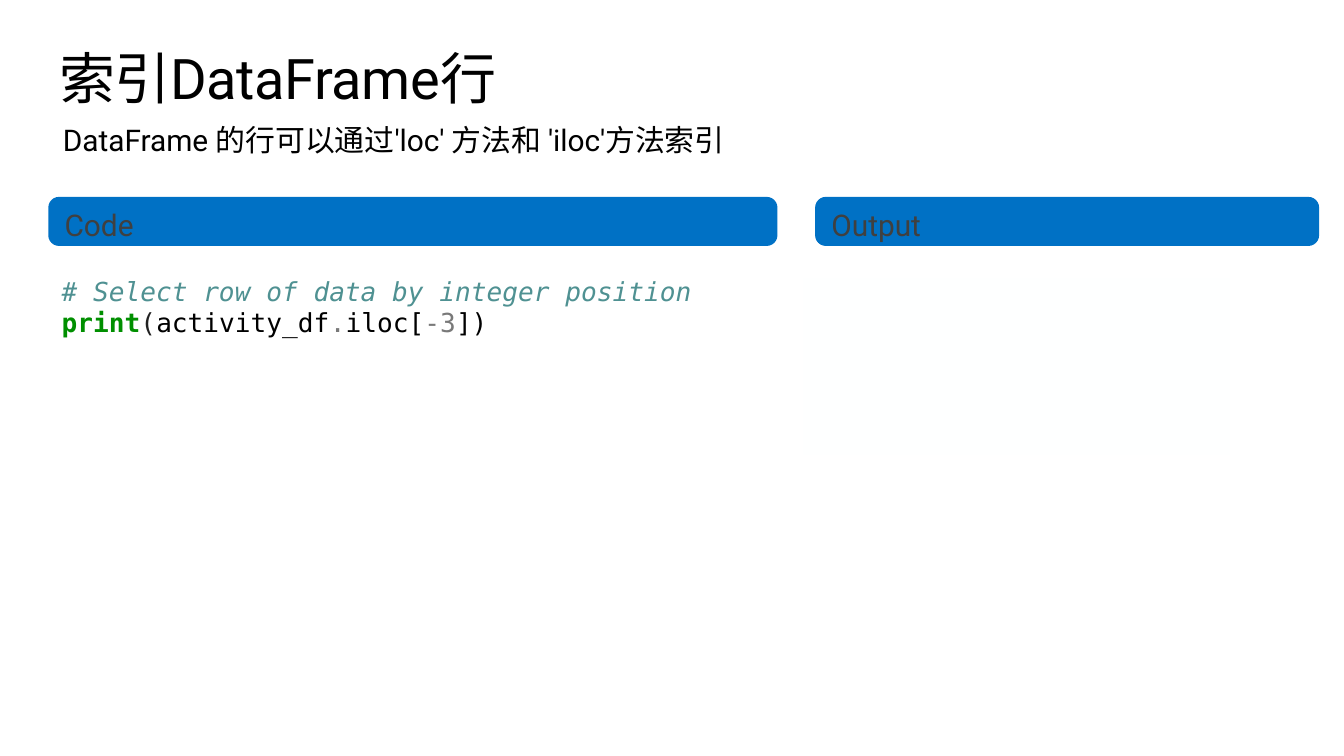
from pptx import Presentation
from pptx.dml.color import RGBColor
from pptx.enum.shapes import MSO_SHAPE
from pptx.enum.text import MSO_ANCHOR, MSO_AUTO_SIZE, PP_ALIGN
from pptx.util import Emu, Pt

RECT, ROUND = MSO_SHAPE.RECTANGLE, MSO_SHAPE.ROUNDED_RECTANGLE
TOP, MIDDLE = MSO_ANCHOR.TOP, MSO_ANCHOR.MIDDLE
GROW, LEFT = MSO_AUTO_SIZE.SHAPE_TO_FIT_TEXT, PP_ALIGN.LEFT

BLACK = RGBColor(0x00, 0x00, 0x00)
DARK = RGBColor(0x40, 0x40, 0x40)
INK = RGBColor(0x21, 0x21, 0x21)
GRAY = RGBColor(0x79, 0x79, 0x79)
BLUE = RGBColor(0x00, 0x71, 0xC5)
TEAL = RGBColor(0x4F, 0x91, 0x92)
GREEN = RGBColor(0x00, 0x8F, 0x00)
PALE = RGBColor(0xFE, 0xFF, 0xFF)

SCALE = 4572  # EMU per px, 200 px to the inch
SANS, MONO = "Roboto", "DejaVu Sans Mono"


def px(*nums):
    return [Emu(n * SCALE) for n in nums]


def write(para, text, size=16, font=SANS, color=BLACK, bold=False,
          italic=False, track=None):
    """Add one run of formatted text; track is in hundredths of a point."""
    run = para.add_run()
    run.text = text
    face = run.font
    face.size, face.name = Pt(size), font
    face.bold, face.italic = bold, italic
    face.color.rgb = color
    if track is not None:
        run._r.get_or_add_rPr().set("spc", str(track))


class Deck:
    """Holds the style and the current slide."""

    def __init__(self, wide, high):
        self.prs = Presentation()
        self.prs.slide_width, self.prs.slide_height = px(wide, high)
        self.slide = self.prs.slides.add_slide(self.prs.slide_layouts[5])

    def title(self, box, text):
        shape = self.slide.shapes.title
        shape.left, shape.top, shape.width, shape.height = px(*box)
        frame = shape.text_frame
        frame.margin_left = frame.margin_right = 0
        frame.margin_top = frame.margin_bottom = 0
        frame.vertical_anchor, frame.auto_size = TOP, GROW
        para = frame.paragraphs[0]
        para.alignment = LEFT
        write(para, text, size=30, track=-25)

    def block(self, box, kind, fill):
        shape = self.slide.shapes.add_shape(kind, *px(*box))
        shape.shadow.inherit = False
        shape.fill.solid()
        shape.fill.fore_color.rgb = fill
        shape.line.fill.background()
        return shape

    def bar(self, box, text):
        shape = self.block(box, ROUND, BLUE)
        shape.adjustments[0] = 0.22
        frame = shape.text_frame
        frame.vertical_anchor = MIDDLE
        frame.margin_top, frame.margin_bottom = px(14, 6)
        para = frame.paragraphs[0]
        para.alignment = LEFT
        write(para, text, color=DARK)

    def text(self, box, lines, after=0, **style):
        """Each line is a list of (text, format) pairs."""
        frame = self.slide.shapes.add_textbox(*px(*box)).text_frame
        frame.word_wrap, frame.auto_size = True, GROW
        for i, line in enumerate(lines):
            para = frame.add_paragraph() if i else frame.paragraphs[0]
            para.space_after = Pt(after)
            for part, look in line:
                write(para, part, **style, **look)


def main():
    deck = Deck(2000, 1125)

    # Heading
    deck.title((88, 65, 1846, 100), "索引DataFrame行")

    # Code column header
    top, high = 293, 73
    deck.bar((72, top, 1085, high), "Code")

    # Code sample
    code = [
        [("# Select row of data by integer position",
          {"color": TEAL, "italic": True})],
        [("print", {"color": GREEN, "bold": True}),
         ("(", {"color": INK}),
         ("activity_df", {}),
         (".", {"color": GRAY}),
         ("iloc[", {}),
         ("-3", {"color": GRAY}),
         ("])", {})],
    ]
    deck.text((72, 400, 1102, 162), code, size=14, font=MONO)

    # Output column header
    deck.bar((1213, top, 750, high), "Output")

    # Summary line
    deck.text((74, 172, 1496, 74),
              [[("DataFrame 的行可以通过'loc' 方法和 'iloc'方法索引", {})]],
              after=6)

    # Output panel
    deck.block((1196, 414, 634, 262), RECT, PALE)

    deck.prs.save("out.pptx")


if __name__ == "__main__":
    main()
